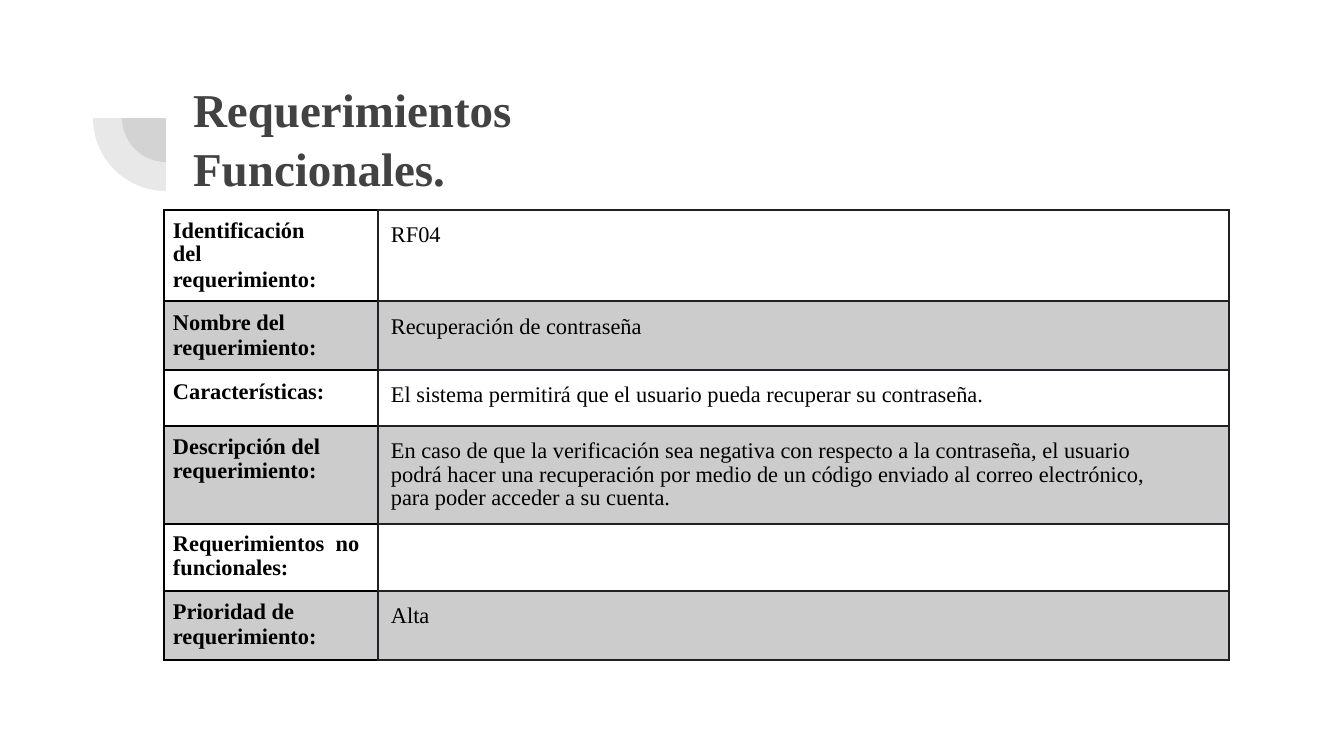
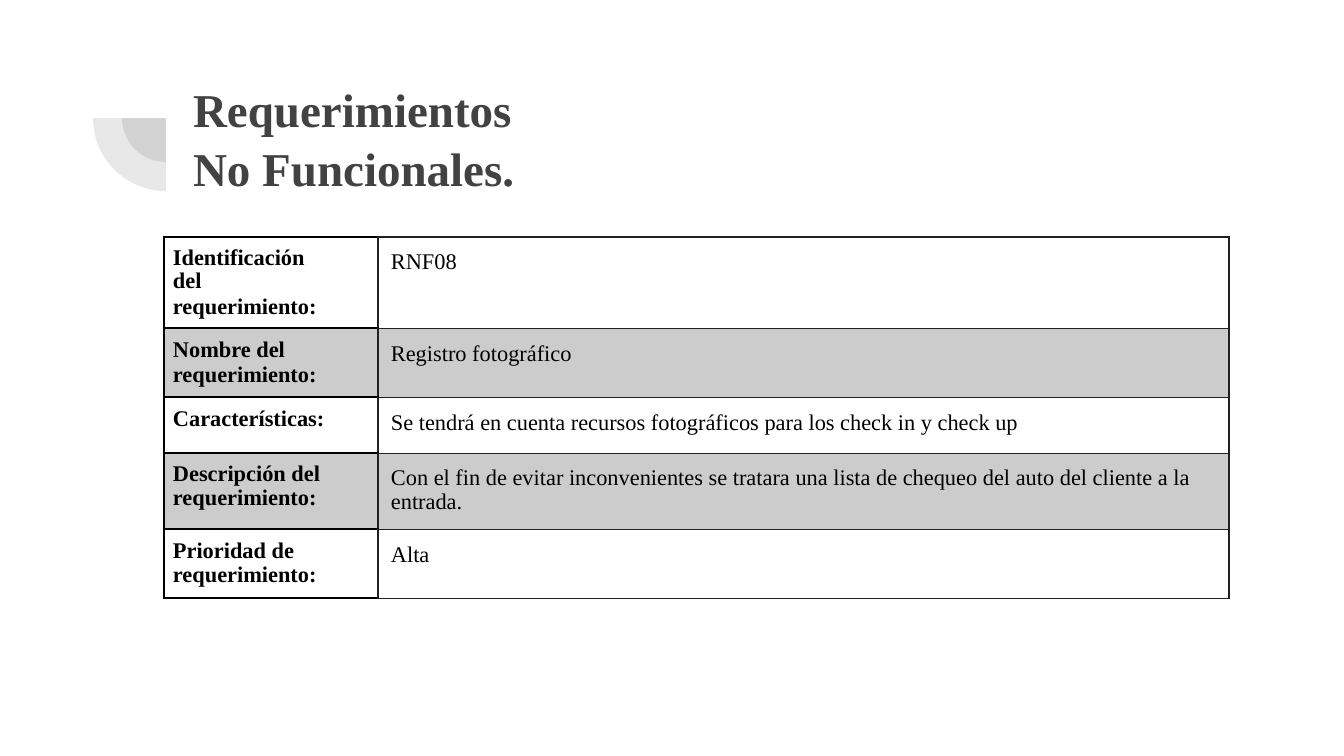
from dataclasses import dataclass

from lxml import etree
from pptx import Presentation
from pptx.dml.color import RGBColor
from pptx.enum.shapes import MSO_SHAPE
from pptx.enum.text import MSO_ANCHOR, MSO_AUTO_SIZE, PP_ALIGN
from pptx.oxml.ns import qn
from pptx.util import Emu, Pt

COLORS = {"ink": "424242", "text": "000000", "rule": "202124", "band": "CCCCCC"}
FONT = "Times New Roman"
TITLE_FONT = {"name": FONT, "size": Pt(25.2), "bold": True}
CELL_FONT = {"name": FONT, "size": Pt(12)}
TITLE_BOX = (180, 63, 1034, 147)
CORNER = (166, 118)
PIE_SIZES = (88, 146)
TABLE_LEFT = 164
COLUMNS = (214, 851)
LABEL_INSET, VALUE_INSET = 9, 13
TIGHT = 0.96
NARROW = 45


@dataclass
class Line:
    """A paragraph with its line spacing, right indent (px) and space before (pt)."""
    text: str
    spacing: float = 1.0
    indent: int = 0
    before: float = 0


ID_LABEL = [Line("Identificación del", TIGHT, NARROW), Line("requerimiento:", before=0.3)]
NAME_LABEL = [Line("Nombre del"), Line("requerimiento:")]
FEATURE_LABEL = [Line("Características:")]
DESCRIPTION_LABEL = [Line("Descripción del requerimiento:", TIGHT)]
NONFUNCTIONAL_LABEL = [Line("Requerimientos  no funcionales:", TIGHT)]
PRIORITY_LABEL = [Line("Prioridad de"), Line("requerimiento:")]

# Each row: height, label, value
FUNCTIONAL = [
    (91, ID_LABEL, Line("RF04")),
    (69, NAME_LABEL, Line("Recuperación de contraseña")),
    (56, FEATURE_LABEL, Line(
        "El sistema permitirá que el usuario pueda recuperar su contraseña.", TIGHT)),
    (97, DESCRIPTION_LABEL, Line(
        "En caso de que la verificación sea negativa con respecto a la contraseña, "
        "el usuario podrá hacer una recuperación por medio de un código enviado al "
        "correo electrónico, para poder acceder a su cuenta.", TIGHT, NARROW)),
    (66, NONFUNCTIONAL_LABEL, Line("")),
    (69, PRIORITY_LABEL, Line("Alta")),
]
NONFUNCTIONAL = [
    (91, ID_LABEL, Line("RNF08")),
    (69, NAME_LABEL, Line("Registro fotográfico")),
    (56, FEATURE_LABEL, Line(
        "Se tendrá en cuenta recursos fotográficos para los check in y check up")),
    (76, DESCRIPTION_LABEL, Line(
        "Con el fin de evitar inconvenientes se tratara una lista de chequeo del auto "
        "del cliente a la entrada.", TIGHT)),
    (69, PRIORITY_LABEL, Line("Alta")),
]


def px(length):
    return Emu(round(length * 914400 / 134.4))


def rgb(name):
    return RGBColor.from_string(COLORS[name])


def apply(target, values):
    for attribute, value in values.items():
        setattr(target, attribute, value)


def write(frame, lines, font, color, bold):
    for index, line in enumerate(lines):
        paragraph = frame.add_paragraph() if index else frame.paragraphs[0]
        apply(paragraph, {"alignment": PP_ALIGN.LEFT, "line_spacing": line.spacing,
                          "space_before": Pt(line.before)})
        if line.indent:
            paragraph._p.get_or_add_pPr().set("marR", str(px(line.indent)))
        if line.text:
            run = paragraph.add_run()
            run.text = line.text
            apply(run.font, {**font, "bold": bold})
            run.font.color.rgb = rgb(color)


def add_corner(slide, center):
    """Two translucent quarter discs whose corner is at the given point."""
    x, y = center
    for size in PIE_SIZES:
        pie = slide.shapes.add_shape(
            MSO_SHAPE.PIE, px(x - size / 2), px(y - size / 2), px(size), px(size))
        pie.adjustments[0], pie.adjustments[1] = 108, 162
        pie.rotation = 270
        pie.shadow.inherit = False
        pie.line.fill.background()
        pie.fill.solid()
        pie.fill.fore_color.rgb = rgb("ink")
        tint = pie._element.spPr.find(qn("a:solidFill"))[0]
        etree.SubElement(tint, qn("a:alpha"), val="12000")


def set_title(slide, box, lines):
    title = slide.shapes.title
    apply(title, dict(zip(("left", "top", "width", "height"), map(px, box))))
    frame = title.text_frame
    margins = ("margin_left", "margin_top", "margin_right", "margin_bottom")
    apply(frame, {**dict.fromkeys(margins, px(VALUE_INSET)), "word_wrap": True,
                  "auto_size": MSO_AUTO_SIZE.NONE, "vertical_anchor": MSO_ANCHOR.MIDDLE})
    write(frame, [Line(text, 1.05) for text in lines], TITLE_FONT, "ink", True)


def set_borders(cell, borders):
    """Borders are (colour, points) in the order left, right, top, bottom."""
    properties = cell._tc.get_or_add_tcPr()
    for side, (color, width) in zip("LRTB", borders):
        edge = etree.SubElement(properties, qn(f"a:ln{side}"), w=str(Pt(width)))
        fill = etree.SubElement(edge, qn("a:solidFill"))
        etree.SubElement(fill, qn("a:srgbClr"), val=COLORS[color])


def fill_cell(cell, lines, inset, bold, borders, banded):
    margins = ("margin_left", "margin_top", "margin_right", "margin_bottom")
    apply(cell, {**dict.fromkeys(margins, px(inset)), "vertical_anchor": MSO_ANCHOR.TOP})
    write(cell.text_frame, lines, CELL_FONT, "text", bold)
    set_borders(cell, borders)
    if banded:
        cell.fill.solid()
        cell.fill.fore_color.rgb = rgb("band")
    else:
        cell.fill.background()


def add_requirement(slide, left, top, rows, divider, rule):
    """Label and value table; divider and rule are line widths in points."""
    height = sum(row[0] for row in rows)
    table = slide.shapes.add_table(
        len(rows), len(COLUMNS), px(left), px(top), px(sum(COLUMNS)), px(height)).table
    apply(table, {"first_row": False, "horz_banding": False})
    for column, width in zip(table.columns, COLUMNS):
        column.width = px(width)
    black = ("text", 1)
    label_borders = (black, ("rule", divider), black, black)
    value_borders = (("rule", divider),) + (("rule", rule),) * 3
    for index, (row_height, label, value) in enumerate(rows):
        table.rows[index].height = px(row_height)
        banded = index % 2 == 1
        fill_cell(table.cell(index, 0), label, LABEL_INSET, True, label_borders, banded)
        fill_cell(table.cell(index, 1), [value], VALUE_INSET, False, value_borders, banded)


def add_requirement_slide(deck, title, top, rows, divider, rule):
    slide = deck.slides.add_slide(deck.slide_layouts.get_by_name("Title Only"))
    add_corner(slide, CORNER)
    set_title(slide, TITLE_BOX, title)
    add_requirement(slide, TABLE_LEFT, top, rows, divider, rule)


def main():
    deck = Presentation()
    apply(deck, {"slide_width": px(1344), "slide_height": px(756)})
    add_requirement_slide(
        deck, ["Requerimientos", "Funcionales."], 210, FUNCTIONAL, 1.5, 1.5)
    add_requirement_slide(
        deck, ["Requerimientos", "No Funcionales."], 237, NONFUNCTIONAL, 1, 0.75)
    deck.save("out.pptx")


if __name__ == "__main__":
    main()
